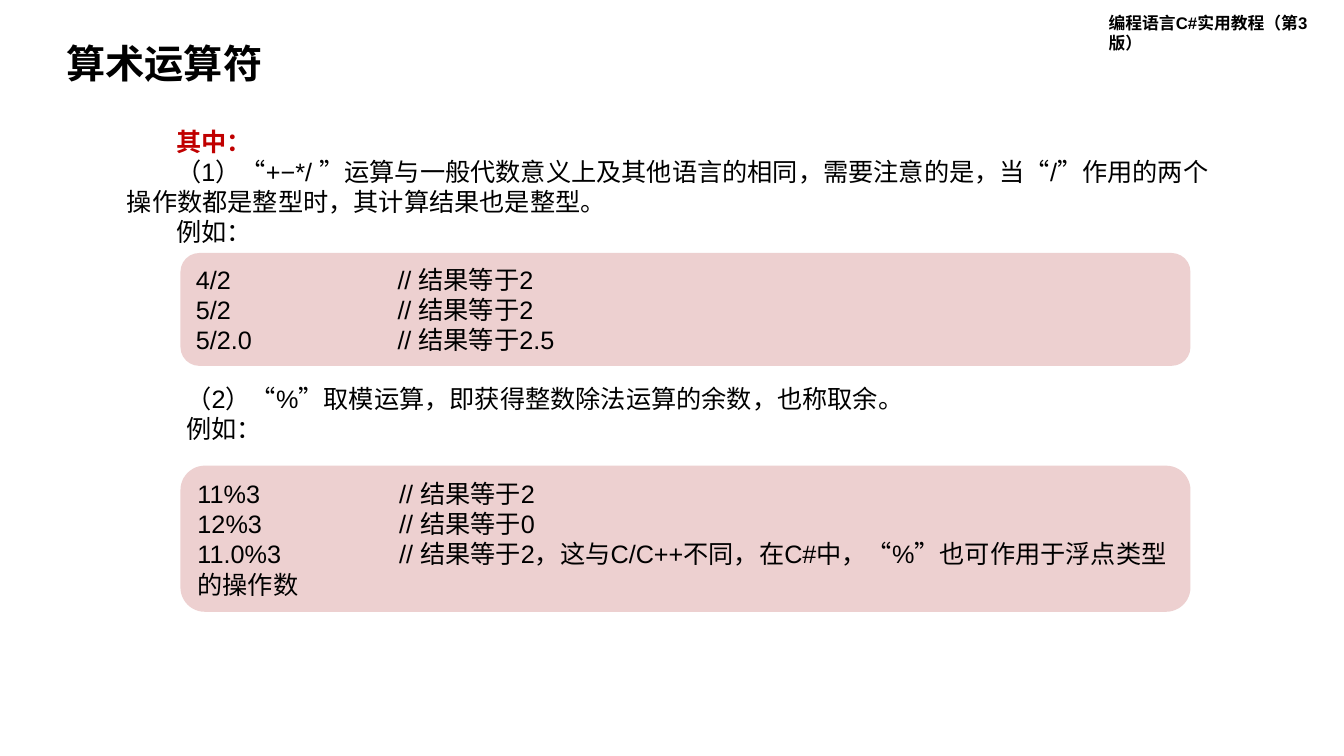
from lxml.etree import SubElement
from pptx import Presentation
from pptx.dml.color import RGBColor
from pptx.enum.lang import MSO_LANGUAGE_ID
from pptx.enum.shapes import MSO_SHAPE
from pptx.enum.text import MSO_ANCHOR, MSO_AUTO_SIZE, PP_ALIGN
from pptx.oxml.ns import qn
from pptx.util import Inches, Pt

COLORS = {"text": "000000", "accent": "C00000", "panel": "EDD0D0"}
SLIDE_WIDTH, SLIDE_HEIGHT = Inches(13.33), Inches(7.5)
COLUMN, ROW = SLIDE_WIDTH / 100, SLIDE_HEIGHT / 100
BODY_LEFT, BODY_WIDTH = 8.7, 82.28
PANEL_LEFT, PANEL_WIDTH = 13.43, 75.15
COMMENT_TAB = Inches(2)


def grid_box(left, top, width, height):
    return (round(left * COLUMN), round(top * ROW),
            round(width * COLUMN), round(height * ROW))


def add_text(frame, text, size=18, color="text", bold=False, indent=0, tab=None, spacing=None):
    paragraph = frame.paragraphs[0]
    if paragraph.runs:
        paragraph = frame.add_paragraph()
    paragraph.alignment = PP_ALIGN.LEFT
    if spacing:
        paragraph.line_spacing = spacing
    properties = paragraph._p.get_or_add_pPr()
    if indent:
        properties.set("marL", "0")
        properties.set("indent", str(Inches(indent)))
    if tab:
        tab_list = SubElement(properties, qn("a:tabLst"))
        SubElement(tab_list, qn("a:tab"), pos=str(tab), algn="l")
    run = paragraph.add_run()
    run.text = text
    run.font.name = "Arial"
    run.font.size = Pt(size)
    run.font.bold = bold
    run.font.color.rgb = RGBColor.from_string(COLORS[color])
    run.font.language_id = MSO_LANGUAGE_ID.SIMPLIFIED_CHINESE


def add_title(slide, text, box):
    title = slide.shapes.title
    title.left, title.top, title.width, title.height = box
    title.text_frame.auto_size = MSO_AUTO_SIZE.NONE
    title.text_frame.vertical_anchor = MSO_ANCHOR.MIDDLE
    add_text(title.text_frame, text, size=28, bold=True, spacing=0.9)


def add_text_box(slide, box):
    frame = slide.shapes.add_textbox(*box).text_frame
    frame.word_wrap = True
    return frame


def add_code_panel(slide, examples, box):
    panel = slide.shapes.add_shape(MSO_SHAPE.ROUNDED_RECTANGLE, *box)
    panel.shadow.inherit = False
    panel.fill.solid()
    panel.fill.fore_color.rgb = RGBColor.from_string(COLORS["panel"])
    panel.line.fill.background()
    panel.text_frame.word_wrap = True
    panel.text_frame.vertical_anchor = MSO_ANCHOR.MIDDLE
    for expression, comment in examples:
        add_text(panel.text_frame, f"{expression}\t// {comment}", tab=COMMENT_TAB)


def main():
    presentation = Presentation()
    presentation.slide_width, presentation.slide_height = SLIDE_WIDTH, SLIDE_HEIGHT
    slide = presentation.slides.add_slide(presentation.slide_layouts[5])

    book = add_text_box(slide, grid_box(81.75, 1.07, 18.3, 4))
    add_text(book, "编程语言C#实用教程（第3版）", size=12, bold=True)
    add_title(slide, "算术运算符", grid_box(4.2, 5.2, 25.6, 6.93))

    division = add_text_box(slide, grid_box(BODY_LEFT, 16, BODY_WIDTH, 17.47))
    add_text(division, "其中：", color="accent", bold=True, indent=0.49)
    add_text(division, "（1）“+−*/ ”运算与一般代数意义上及其他语言的相同，需要注意的是，"
             "当“/”作用的两个操作数都是整型时，其计算结果也是整型。", indent=0.49)
    add_text(division, "例如：", indent=0.49)
    add_code_panel(slide, [
        ("4/2", "结果等于2"),
        ("5/2", "结果等于2"),
        ("5/2.0", "结果等于2.5"),
    ], grid_box(PANEL_LEFT, 33.47, PANEL_WIDTH, 14.93))

    modulo = add_text_box(slide, grid_box(BODY_LEFT, 50, BODY_WIDTH, 9.47))
    add_text(modulo, "（2）“%”取模运算，即获得整数除法运算的余数，也称取余。", indent=0.59)
    add_text(modulo, "例如：", indent=0.59)
    add_code_panel(slide, [
        ("11%3", "结果等于2"),
        ("12%3", "结果等于0"),
        ("11.0%3", "结果等于2，这与C/C++不同，在C#中，“%”也可作用于浮点类型的操作数"),
    ], grid_box(PANEL_LEFT, 61.6, PANEL_WIDTH, 19.33))

    presentation.save("out.pptx")


if __name__ == "__main__":
    main()
